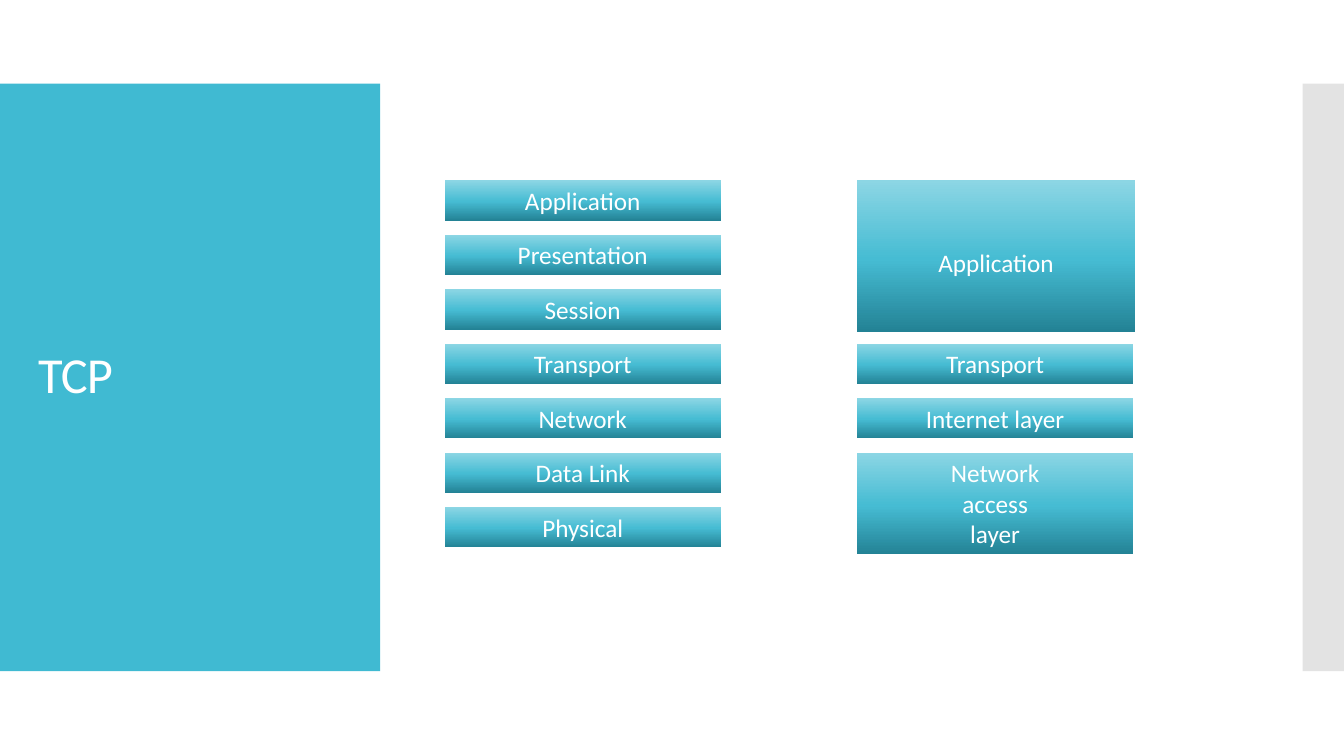
from copy import deepcopy

from lxml import etree
from pptx import Presentation
from pptx.dml.color import RGBColor
from pptx.enum.shapes import MSO_SHAPE
from pptx.enum.text import MSO_ANCHOR, MSO_AUTO_SIZE, PP_ALIGN
from pptx.oxml.ns import qn
from pptx.util import Pt

PX = 9144  # 100 px to the inch
RECTANGLE = MSO_SHAPE.RECTANGLE
TOP, MIDDLE = MSO_ANCHOR.TOP, MSO_ANCHOR.MIDDLE
GROW = MSO_AUTO_SIZE.SHAPE_TO_FIT_TEXT
CENTER = PP_ALIGN.CENTER

TEAL = RGBColor(0x40, 0xBA, 0xD2)
GREY = RGBColor(0xC8, 0xC8, 0xC8)
WHITE = RGBColor(0xFF, 0xFF, 0xFF)
LAYER_GRADIENT = [
    (0, RGBColor(0x23, 0x82, 0x95)),
    (0.48, RGBColor(0x46, 0xBC, 0xD3)),
    (1, RGBColor(0x8C, 0xD6, 0xE4)),
]
FONT = "Calibri"

FIRST_ROW, ROW_STEP = 179, 54
LAYER_WIDTH, LAYER_HEIGHT = 274, 40
OSI_LEFT, TCP_LEFT = 441, 850
OSI_LAYERS = ["Application", "Presentation", "Session", "Transport",
              "Network", "Data Link", "Physical"]
# text, first row, width, height, top inset
TCP_LAYERS = [
    ("Application", 0, 276, 150, 66),
    ("Transport", 3, LAYER_WIDTH, LAYER_HEIGHT, 5),
    ("Internet layer", 4, LAYER_WIDTH, LAYER_HEIGHT, 5),
    ("Network\naccess\nlayer", 5, LAYER_WIDTH, 101, 5),
]


def add_rectangle(shapes, left, top, width, height):
    shape = shapes.add_shape(RECTANGLE, left * PX, top * PX, width * PX, height * PX)
    shape.shadow.inherit = False
    shape.line.fill.background()
    return shape


def add_layer(shapes, text, left, row, width=LAYER_WIDTH, height=LAYER_HEIGHT, inset=5):
    """Add one gradient box of a protocol stack, placed by its row."""
    shape = add_rectangle(shapes, left, FIRST_ROW + row * ROW_STEP, width, height)
    shape.fill.gradient()
    shape.fill.gradient_angle = 90
    stop_list = shape._element.spPr.find(qn("a:gradFill")).find(qn("a:gsLst"))
    stop_list.append(deepcopy(stop_list[0]))
    for stop, (position, color) in zip(shape.fill.gradient_stops, LAYER_GRADIENT):
        stop.position = position
        stop.color.rgb = color
    frame = shape.text_frame
    frame.text = text
    frame.word_wrap = True
    frame.auto_size = GROW
    frame.vertical_anchor = TOP
    frame.margin_top = inset * PX
    for paragraph in frame.paragraphs:
        paragraph.alignment = CENTER
        font = paragraph.runs[0].font
        font.name, font.size = FONT, Pt(18)
        font.color.rgb = WHITE


presentation = Presentation()
presentation.slide_width = 1333 * PX
presentation.slide_height = 750 * PX
slide = presentation.slides.add_slide(presentation.slide_layouts[6])

# Side panels
for left, width, color in [(0, 377, TEAL), (1292, 41, GREY)]:
    panel = add_rectangle(slide.shapes, left, 83, width, 583)
    panel.fill.solid()
    panel.fill.fore_color.rgb = color
grey_color = panel._element.spPr.find(qn("a:solidFill"))[0]
etree.SubElement(grey_color, qn("a:alpha"), val="50000")

# Title
title = slide.shapes.add_textbox(28 * PX, 123 * PX, 322 * PX, 503 * PX)
title_frame = title.text_frame
title_frame.text = "TCP"
title_frame.word_wrap = True
title_frame.vertical_anchor = MIDDLE
title_frame.paragraphs[0].line_spacing = 0.9
title_run = title_frame.paragraphs[0].runs[0]
title_run.font.name, title_run.font.size = FONT, Pt(36)
title_run.font.color.rgb = WHITE
title_run.font._element.set("spc", "-60")

# Protocol stacks
osi_stack = slide.shapes.add_group_shape()
for row, text in enumerate(OSI_LAYERS):
    add_layer(osi_stack.shapes, text, OSI_LEFT, row)
for text, row, width, height, inset in TCP_LAYERS:
    add_layer(slide.shapes, text, TCP_LEFT, row, width, height, inset)

presentation.save("out.pptx")
